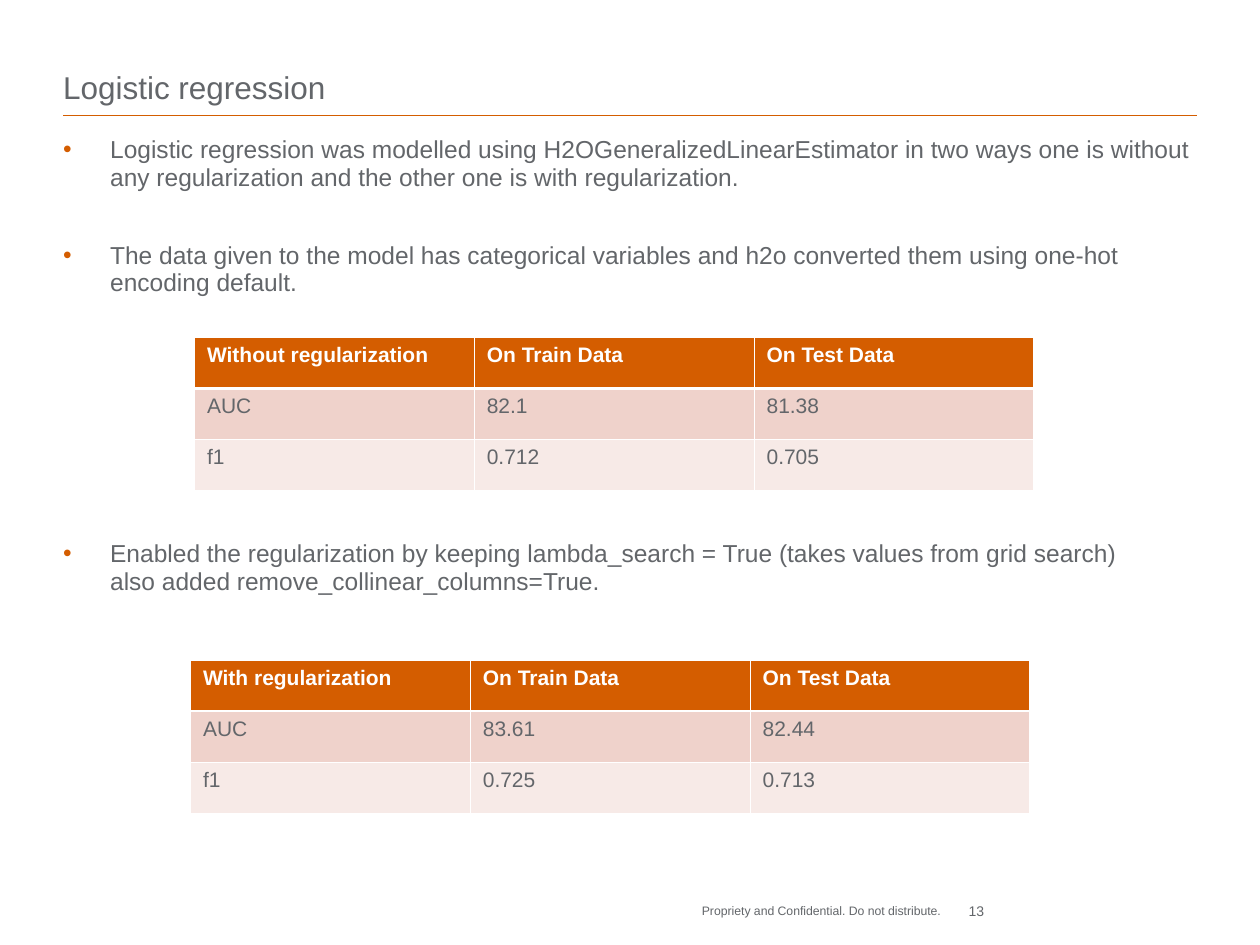
from lxml import etree
from pptx import Presentation
from pptx import util as u
from pptx.dml.color import RGBColor
from pptx.enum import shapes, text
from pptx.oxml.ns import qn

COLORS = {
    "accent": "D45D00",
    "ink": "63666A",
    "white": "FFFFFF",
    "band": "EFD2CB",
    "pale": "F7EAE7",
}
LEFT, WIDE = 1.27, 22.86
HEADS = ["On Train Data", "On Test Data"]


def rgb(name):
    return RGBColor.from_string(COLORS[name])


def sub(node, tag, **attrs):
    return etree.SubElement(node, qn(tag), attrs)


class Deck:
    font = "Arial"
    thin, thick = 0.45, 1.47

    def __init__(self, slide):
        self.slide = slide

    def place(self, shape, x, y, w, h):
        shape.left, shape.top = u.Cm(x), u.Cm(y)
        shape.width, shape.height = u.Cm(w), u.Cm(h)

    def frame(self, shape, anchor=text.MSO_ANCHOR.TOP, wrap=True):
        """Return the shape's text frame without margins or autofit."""
        frame = shape.text_frame
        frame.margin_left = frame.margin_right = 0
        frame.margin_top = frame.margin_bottom = 0
        frame.vertical_anchor = anchor
        frame.word_wrap = wrap
        frame.auto_size = text.MSO_AUTO_SIZE.NONE
        return frame

    def run(self, para, words, size, color="ink", bold=False):
        run = para.add_run()
        run.text = words
        run.font.name = self.font
        run.font.size = u.Pt(size)
        run.font.bold = bold
        run.font.color.rgb = rgb(color)

    def title(self, words):
        shape = self.slide.shapes.title
        self.place(shape, LEFT, 0.43, WIDE, 1.7)
        para = self.frame(shape, text.MSO_ANCHOR.BOTTOM).paragraphs[0]
        para.alignment = text.PP_ALIGN.LEFT
        self.run(para, words, 18)

    def rule(self, y):
        line = self.slide.shapes.add_connector(
            shapes.MSO_CONNECTOR.STRAIGHT,
            u.Cm(LEFT), u.Cm(y), u.Cm(LEFT + WIDE), u.Cm(y))
        line.line.color.rgb = rgb("accent")
        line.line.width = u.Pt(1)
        sub(line._element.spPr, "a:effectLst")

    def bullets(self, items):
        """Fill the body from (lines, points of space after) pairs."""
        shape = self.slide.placeholders[1]
        self.place(shape, LEFT, 2.74, WIDE, 14.02)
        frame = self.frame(shape)
        for i, (lines, gap) in enumerate(items):
            para = frame.add_paragraph() if i else frame.paragraphs[0]
            para.line_spacing = 0.95
            para.space_before = u.Pt(0)
            para.space_after = u.Pt(gap)
            props = para._p.get_or_add_pPr()
            indent = u.Cm(0.95)
            props.set("marL", str(indent))
            props.set("indent", str(-indent))
            sub(sub(props, "a:buClr"), "a:srgbClr", val=COLORS["accent"])
            sub(props, "a:buFont", typeface=self.font)
            sub(props, "a:buChar", char="•")
            for j, line in enumerate(lines):
                if j:
                    para.add_line_break()
                self.run(para, line, 14)

    def note(self, words, x, y, w, h, size, align, wrap=True):
        box = self.slide.shapes.add_textbox(
            u.Cm(x), u.Cm(y), u.Cm(w), u.Cm(h))
        para = self.frame(box, wrap=wrap).paragraphs[0]
        para.alignment = align
        self.run(para, words, size)

    def edges(self, cell, row):
        """Draw white borders, thicker between the header and the body."""
        props = cell._tc.get_or_add_tcPr()
        for side in "LRTB":
            heavy = (row, side) in ((0, "B"), (1, "T"))
            width = u.Pt(self.thick if heavy else self.thin)
            line = sub(props, "a:ln" + side, w=str(width))
            sub(sub(line, "a:solidFill"), "a:srgbClr", val=COLORS["white"])

    def table(self, x, y, rows):
        col, high = 5.64, 1.03
        grid = self.slide.shapes.add_table(
            len(rows), len(rows[0]), u.Cm(x), u.Cm(y),
            u.Cm(col * len(rows[0])), u.Cm(high * len(rows))).table
        for column in grid.columns:
            column.width = u.Cm(col)
        for r, (row, fill) in enumerate(zip(rows, ("accent", "band", "pale"))):
            grid.rows[r].height = u.Cm(high)
            for c, words in enumerate(row):
                cell = grid.cell(r, c)
                self.edges(cell, r)
                cell.fill.solid()
                cell.fill.fore_color.rgb = rgb(fill)
                self.run(cell.text_frame.paragraphs[0], words, 12,
                         "ink" if r else "white", bold=r == 0)


def main():
    prs = Presentation()
    prs.slide_width, prs.slide_height = u.Cm(25.4), u.Cm(19.05)
    deck = Deck(prs.slides.add_slide(prs.slide_layouts[1]))

    deck.rule(2.33)
    deck.title("Logistic regression")
    deck.bullets([
        (["Logistic regression was modelled using H2OGeneralizedLinearEstimator "
          "in two ways one is without any regularization and the other one is "
          "with regularization."], 28.5),
        (["The data given to the model has categorical variables and h2o "
          "converted them using one-hot encoding default."], 138.5),
        (["Enabled the regularization by keeping lambda_search = True "
          "(takes values from grid search)",
          "also added remove_collinear_columns=True."], 6),
    ])
    deck.table(3.92, 6.8, [["Without regularization"] + HEADS,
                           ["AUC", "82.1", "81.38"],
                           ["f1", "0.712", "0.705"]])
    deck.table(3.84, 13.31, [["With regularization"] + HEADS,
                             ["AUC", "83.61", "82.44"],
                             ["f1", "0.725", "0.713"]])
    deck.note("Propriety and Confidential. Do not distribute.",
              14.15, 18.21, 5.28, 0.64, 7, text.PP_ALIGN.LEFT, wrap=False)
    deck.note("13", 19, 18.19, 0.84, 0.43, 8, text.PP_ALIGN.RIGHT)

    prs.save("out.pptx")


if __name__ == "__main__":
    main()
